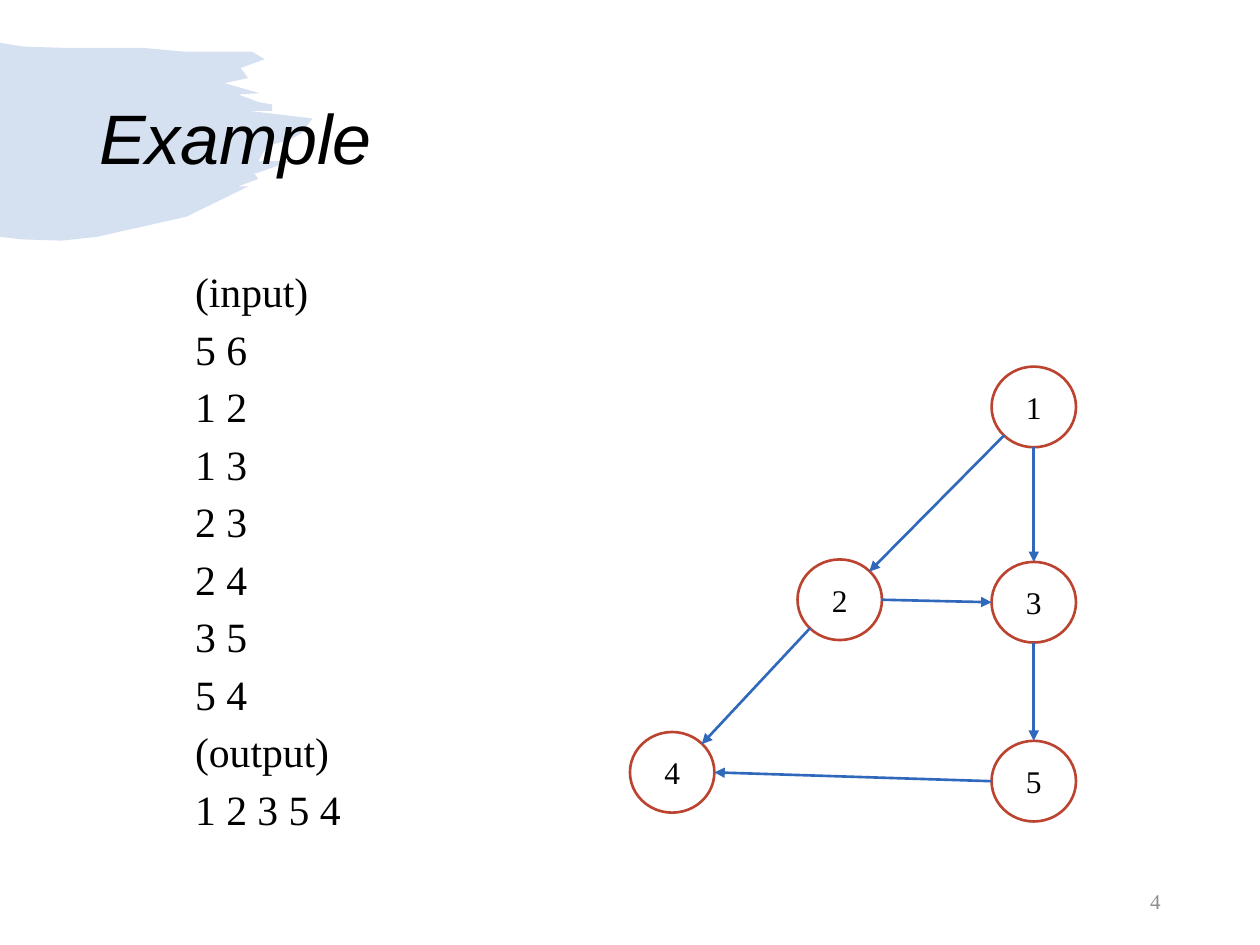
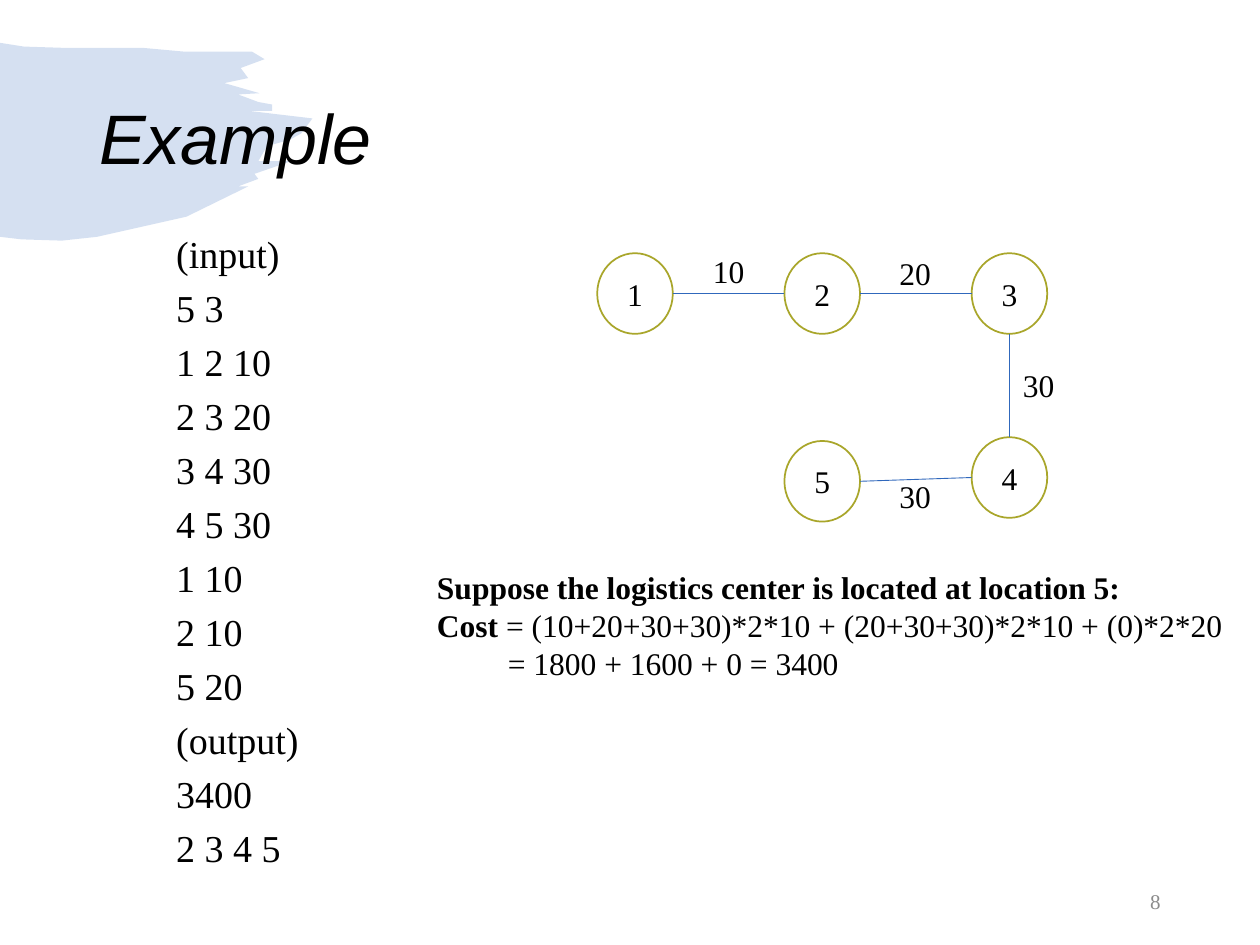
import pptx
import pptx.dml.color
import pptx.enum.shapes
import pptx.enum.text
import pptx.oxml
import pptx.oxml.ns
import pptx.util

RGBColor = pptx.dml.color.RGBColor
ALIGN = pptx.enum.text.PP_ALIGN
ANCHOR = pptx.enum.text.MSO_ANCHOR

# Shared colours and fonts
BLUE = RGBColor(0x30, 0x68, 0xBC)
RED = RGBColor(0xBC, 0x43, 0x30)
OLIVE = RGBColor(0xA9, 0xA6, 0x2B)
GREY = RGBColor(0x8C, 0x8C, 0x8C)
BLACK = RGBColor(0, 0, 0)
WHITE = RGBColor(255, 255, 255)
HEADING_FONT = "Arial"
BODY_FONT = "Times New Roman"

# Slide grid: 100 columns by 75 rows of square cells
SLIDE_WIDTH = pptx.util.Inches(10)
SLIDE_HEIGHT = pptx.util.Inches(7.5)
CELL = SLIDE_WIDTH / 100

# Places on an ellipse where edges meet it, as shares of its box
SITES = {
    "top": (0.5, 0), "bottom": (0.5, 1), "left": (0, 0.5), "right": (1, 0.5),
    "top right": (0.85, 0.15), "bottom left": (0.15, 0.85),
}

# Brush stroke outline in cells: upper edge, ragged tip, lower edge
BRUSH = [
    (0, 3.4), (1.9, 3.7), (5, 3.8), (11.3, 3.8), (14.6, 4.1), (20, 4.1), (21, 4.7),
    (19.1, 5.4), (19.7, 6.2), (17.8, 6.6), (20.6, 7.4), (18.9, 7.5), (20.5, 8.1),
    (21.6, 8.3), (21.6, 8.8), (19.7, 8.8), (24.8, 9.4), (23.9, 10.6), (23, 11.1),
    (21.2, 11.6), (20.5, 12.8), (23.1, 12.8), (20.2, 13.8), (20.5, 14.2), (18.9, 14.8),
    (19.7, 14.8), (14.8, 17.2), (7.7, 18.8), (4.9, 19.1), (1.7, 19), (0, 18.8),
]


def cells(*lengths):
    """Turn grid cells into slide lengths."""
    return [round(length * CELL) for length in lengths]


def write_text(frame, paragraphs, font=BODY_FONT, size=18, color=BLACK, bold=False,
               italic=False, align=ALIGN.LEFT, anchor=ANCHOR.TOP, spacing=None, before=None):
    """Fill a frame; a paragraph is a string or a list of (text, bold) runs."""
    frame.word_wrap = True
    frame.vertical_anchor = anchor
    for index, content in enumerate(paragraphs):
        paragraph = frame.add_paragraph() if index else frame.paragraphs[0]
        paragraph.alignment = align
        paragraph.line_spacing = spacing
        if before is not None:
            paragraph.space_before = pptx.util.Pt(before)
        runs = [(content, bold)] if isinstance(content, str) else content
        for text, run_bold in runs:
            run = paragraph.add_run()
            run.text = text
            run.font.name = font
            run.font.size = pptx.util.Pt(size)
            run.font.color.rgb = color
            run.font.bold = run_bold
            run.font.italic = italic


def add_text(slide, box, paragraphs, **text_format):
    frame = slide.shapes.add_textbox(*cells(*box)).text_frame
    write_text(frame, paragraphs, **text_format)
    return frame


def add_brush(slide):
    points = [cells(*point) for point in BRUSH]
    builder = slide.shapes.build_freeform(*points[0])
    builder.add_line_segments(points[1:], close=True)
    brush = builder.convert_to_shape()
    brush.shadow.inherit = False
    brush.line.fill.background()
    brush.fill.solid()
    brush.fill.fore_color.rgb = BLUE
    color = brush._element.spPr.find(".//" + pptx.oxml.ns.qn("a:srgbClr"))
    color.append(pptx.oxml.parse_xml(
        f'<a:alpha {pptx.oxml.ns.nsdecls("a")} val="20000"/>'))


def add_example_slide(presentation, number):
    """Slide with the shared brush stroke, title and page number."""
    slide = presentation.slides.add_slide(presentation.slide_layouts[6])
    add_brush(slide)
    add_text(slide, (6.9, 4, 86.2, 14.5), ["Example"], font=HEADING_FONT, size=40,
             italic=True, anchor=ANCHOR.MIDDLE, spacing=0.9)
    add_text(slide, (70.6, 69.5, 22.5, 4), [str(number)], size=12, color=GREY,
             align=ALIGN.RIGHT, anchor=ANCHOR.MIDDLE)
    return slide


def add_node(slide, label, box, color, weight):
    node = slide.shapes.add_shape(pptx.enum.shapes.MSO_SHAPE.OVAL, *cells(*box))
    node.shadow.inherit = False
    node.fill.solid()
    node.fill.fore_color.rgb = WHITE
    node.line.color.rgb = color
    node.line.width = pptx.util.Pt(weight)
    write_text(node.text_frame, [label], align=ALIGN.CENTER, anchor=ANCHOR.MIDDLE)
    return node


def site_point(node, site):
    across, down = SITES[site]
    return round(node.left + across * node.width), round(node.top + down * node.height)


def add_edge(slide, start, end, weight, arrow):
    edge = slide.shapes.add_connector(pptx.enum.shapes.MSO_CONNECTOR.STRAIGHT, *start, *end)
    edge.line.color.rgb = BLUE
    edge.line.width = pptx.util.Pt(weight)
    namespace = pptx.oxml.ns.nsdecls("a")
    if arrow:
        edge.line._get_or_add_ln().append(
            pptx.oxml.parse_xml(f'<a:tailEnd {namespace} type="triangle"/>'))
    edge._element.spPr.append(pptx.oxml.parse_xml(f"<a:effectLst {namespace}/>"))


def add_graph(slide, places, size, edges, color, node_weight, edge_weight, arrow=False):
    """Nodes by label, then edges given as (node, site, node, site)."""
    nodes = {label: add_node(slide, label, place + size, color, node_weight)
             for label, place in places.items()}
    for start, start_site, end, end_site in edges:
        add_edge(slide, site_point(nodes[start], start_site),
                 site_point(nodes[end], end_site), edge_weight, arrow)


def add_order_slide(presentation):
    slide = add_example_slide(presentation, 4)
    add_text(slide, (14.5, 21.4, 18.8, 48),
             ["(input)", "5 6", "1 2", "1 3", "2 3", "2 4", "3 5", "5 4",
              "(output)", "1 2 3 5 4"], size=23.8, spacing=0.8, before=10)
    right = 78.7
    places = {"1": (right, 29.1), "2": (63.3, 44.4), "3": (right, 44.6),
              "4": (50, 58.1), "5": (right, 58.8)}
    edges = [("1", "bottom left", "2", "top right"), ("2", "right", "3", "left"),
             ("5", "left", "4", "right"), ("1", "bottom", "3", "top"),
             ("3", "bottom", "5", "top"), ("2", "bottom left", "4", "top right")]
    add_graph(slide, places, (6.7, 6.4), edges, RED, 1.5, 1.5, arrow=True)


def add_cost_slide(presentation):
    slide = add_example_slide(presentation, 8)
    add_text(slide, (13, 18.5, 28.4, 54.4),
             ["(input)", "5 3", "1 2 10", "2 3 20", "3 4 30", "4 5 30", "1 10", "2 10",
              "5 20", "(output)", "3400", "2 3 4 5"], size=21.7, spacing=0.8, before=10)

    # Road map with distances
    left, middle, right = (47.4 + 14.86 * column for column in range(3))
    top = 20.1
    places = {"1": (left, top), "2": (middle, top), "3": (right, top),
              "4": (right, 34.7), "5": (middle, 35)}
    edges = [("1", "right", "2", "left"), ("2", "right", "3", "left"),
             ("3", "bottom", "4", "top"), ("5", "right", "4", "left")]
    add_graph(slide, places, (6, 6.4), edges, OLIVE, 1, 0.5)
    for distance, x, y in [("10", 55.6, 19.5), ("20", 70.4, 19.7),
                           ("30", 80.2, 28.6), ("30", 70.4, 37.4)]:
        add_text(slide, (x, y, 6, 4), [distance])

    # Worked cost, its last line indented to the equals sign
    frame = add_text(slide, (33.7, 44.6, 65, 10.1), [
        [("Suppose the logistics center is located at location 5:", True)],
        [("Cost ", True), ("= (10+20+30+30)*2*10 + (20+30+30)*2*10 + (0)*2*20", False)],
        "= 1800 + 1600 + 0 = 3400"])
    indent, = cells(5.63)
    frame.paragraphs[-1]._p.get_or_add_pPr().set("marL", str(indent))


def main():
    presentation = pptx.Presentation()
    presentation.slide_width = SLIDE_WIDTH
    presentation.slide_height = SLIDE_HEIGHT
    add_order_slide(presentation)
    add_cost_slide(presentation)
    presentation.save("out.pptx")


main()
